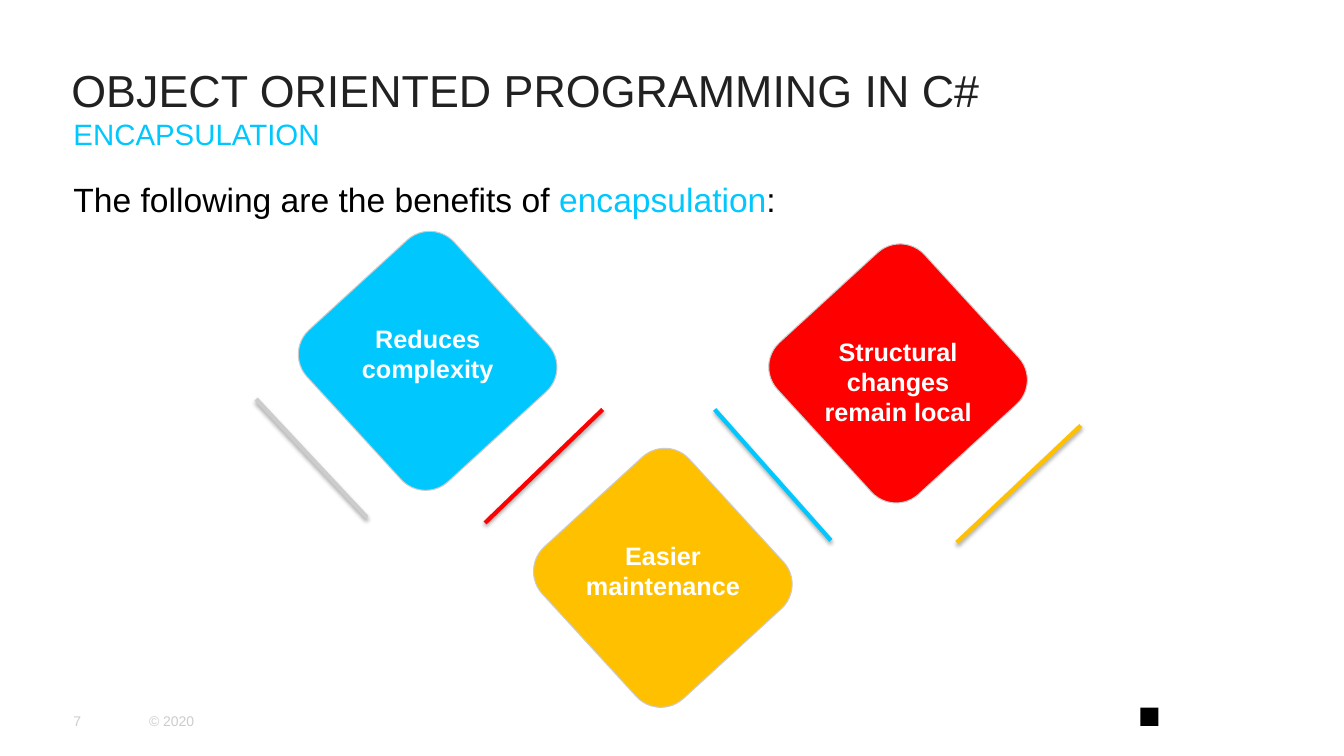
import pptx
import pptx.util
import pptx.oxml
import pptx.oxml.ns
import pptx.dml.color
import pptx.enum.text
import pptx.enum.shapes
from dataclasses import dataclass

Pt = pptx.util.Pt
Align = pptx.enum.text.PP_ALIGN
Anchor = pptx.enum.text.MSO_ANCHOR
Shape = pptx.enum.shapes.MSO_SHAPE


@dataclass(frozen=True)
class Theme:
    font: str = "Arial"
    title: float = 32
    body: float = 24
    sub: float = 21
    label: float = 18
    foot: float = 10
    ink: str = "212121"
    black: str = "000000"
    white: str = "FFFFFF"
    gray: str = "CCCCCC"
    cyan: str = "00C8FF"
    gold: str = "FFC000"
    red: str = "FF0000"


THEME = Theme()


def color(code):
    return pptx.dml.color.RGBColor.from_string(code)


def style(frame, size, code, align=Align.LEFT, anchor=Anchor.TOP, bold=False):
    frame.word_wrap = True
    frame.auto_size = pptx.enum.text.MSO_AUTO_SIZE.NONE
    frame.vertical_anchor = anchor
    frame.margin_left = frame.margin_right = 0
    frame.margin_top = frame.margin_bottom = 0
    para = frame.paragraphs[0]
    para.alignment = align
    font = para.font
    font.name, font.size, font.bold = THEME.font, Pt(size), bold
    font.color.rgb = color(code)


def add_title(slide, text, box):
    title = slide.shapes.title
    title.left, title.top, title.width, title.height = map(Pt, box)
    title.text_frame.text = text
    style(title.text_frame, THEME.title, THEME.ink, anchor=Anchor.BOTTOM)


def add_text(slide, text, box, size, code, **look):
    frame = slide.shapes.add_textbox(*map(Pt, box)).text_frame
    frame.text = text
    style(frame, size, code, **look)


def add_lead(slide, parts, box):
    frame = slide.shapes.add_textbox(*map(Pt, box)).text_frame
    for text, code in parts:
        run = frame.paragraphs[0].add_run()
        run.text = text
        run.font.color.rgb = color(code)
    style(frame, THEME.body, THEME.black)


def add_block(slide, kind, box, code):
    block = slide.shapes.add_shape(kind, *map(Pt, box))
    block.shadow.inherit = False
    block.fill.solid()
    block.fill.fore_color.rgb = color(code)
    block.line.fill.background()
    return block


def add_gem(slide, left, top, text, code):
    gem = add_block(slide, Shape.ROUNDED_RECTANGLE, (left, top, 147, 142.5), code)
    gem.rotation = 47.5
    gem.line.color.rgb = color(THEME.gray)
    gem.line.width = Pt(0.75)
    add_text(slide, text, (left + 7.5, top + 44.5, 132, 42), THEME.label,
             THEME.white, align=Align.CENTER, bold=True)


def add_bar(slide, start, end, code):
    bar = slide.shapes.add_connector(
        pptx.enum.shapes.MSO_CONNECTOR.STRAIGHT, *map(Pt, start + end))
    bar.line.color.rgb = color(code)
    bar.line.width = Pt(3)
    shade = pptx.oxml.parse_xml(
        f'<a:effectLst {pptx.oxml.ns.nsdecls("a")}>'
        f'<a:outerShdw blurRad="{Pt(3.1)}" dist="{Pt(1.8)}" dir="5400000" rotWithShape="0">'
        f'<a:srgbClr val="{THEME.black}"><a:alpha val="35000"/></a:srgbClr>'
        '</a:outerShdw></a:effectLst>')
    bar.element.spPr.append(shade)


def main():
    deck = pptx.Presentation()
    deck.slide_width, deck.slide_height = Pt(960), Pt(540)
    slide = deck.slides.add_slide(deck.slide_layouts[5])

    add_title(slide, "OBJECT ORIENTED PROGRAMMING IN C#", (51, 1, 857, 82.5))
    add_text(slide, "ENCAPSULATION", (52.5, 83, 855, 32), THEME.sub, THEME.cyan)
    add_lead(slide, [("The following are the benefits of ", THEME.black),
                     ("encapsulation", THEME.cyan),
                     (":", THEME.black)], (52.5, 127.5, 855, 360))

    gems = [(186.5, "Reduces complexity", THEME.cyan),
            (341.5, "Easier maintenance", THEME.gold),
            (195.5, "Structural changes remain local", THEME.red)]
    for index, (top, text, code) in enumerate(gems):
        add_gem(slide, 232 + 168 * index, top, text, code)

    bars = [((346.5, 373.5), (430.5, 292.5), THEME.red),
            ((510.5, 292.5), (593.5, 386), THEME.cyan),
            ((683.5, 387.5), (772, 304), THEME.gold),
            ((262, 369.5), (183, 285), THEME.gray)]
    for start, end, code in bars:
        add_bar(slide, start, end, code)

    for left, width, text in [(52.5, 53, "7"), (106.5, 78, "© 2020")]:
        add_text(slide, text, (left, 500.5, width, 29), THEME.foot, THEME.gray,
                 anchor=Anchor.MIDDLE)
    add_block(slide, Shape.RECTANGLE, (814.5, 505.5, 13, 13), THEME.black)
    deck.save("out.pptx")


if __name__ == "__main__":
    main()
